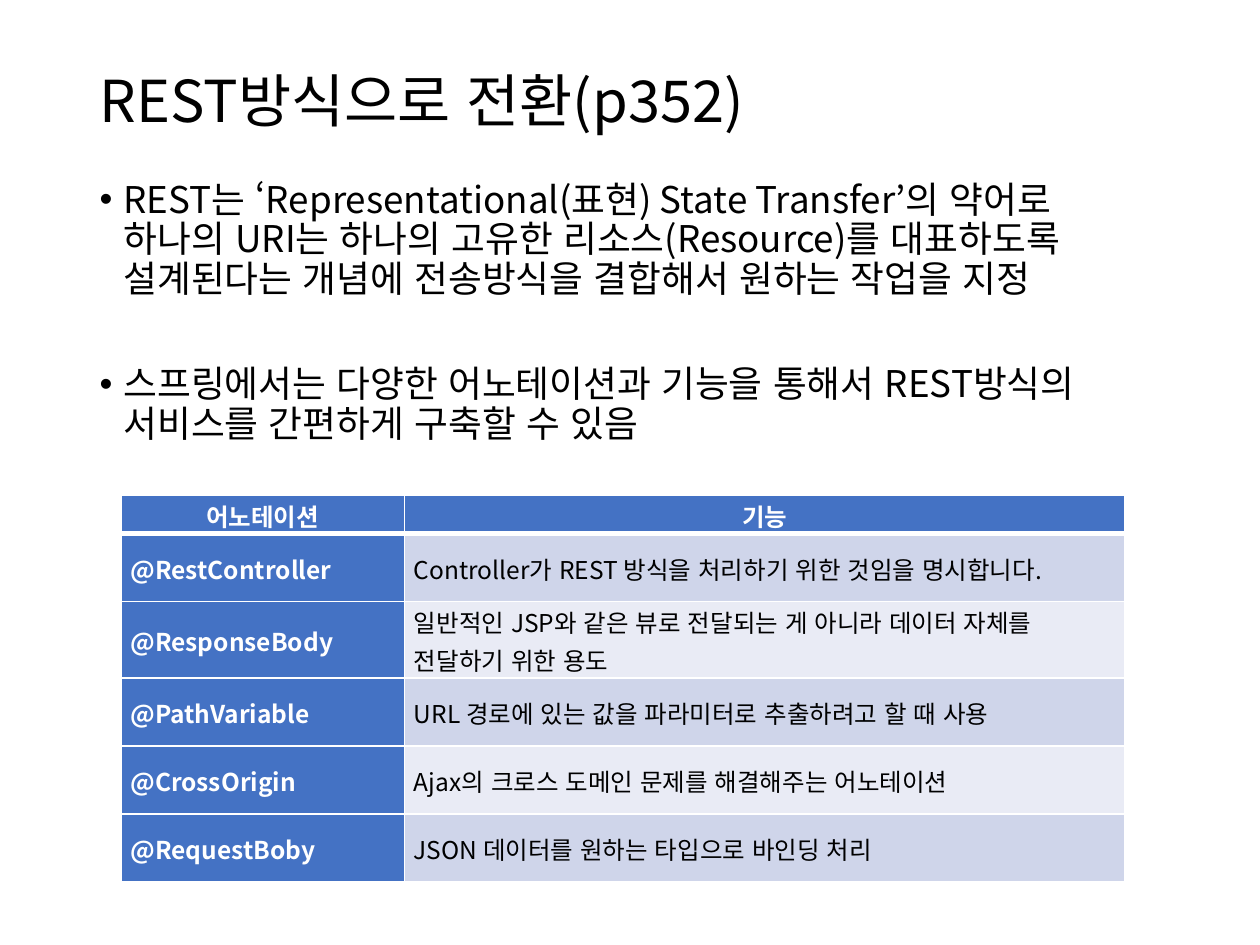
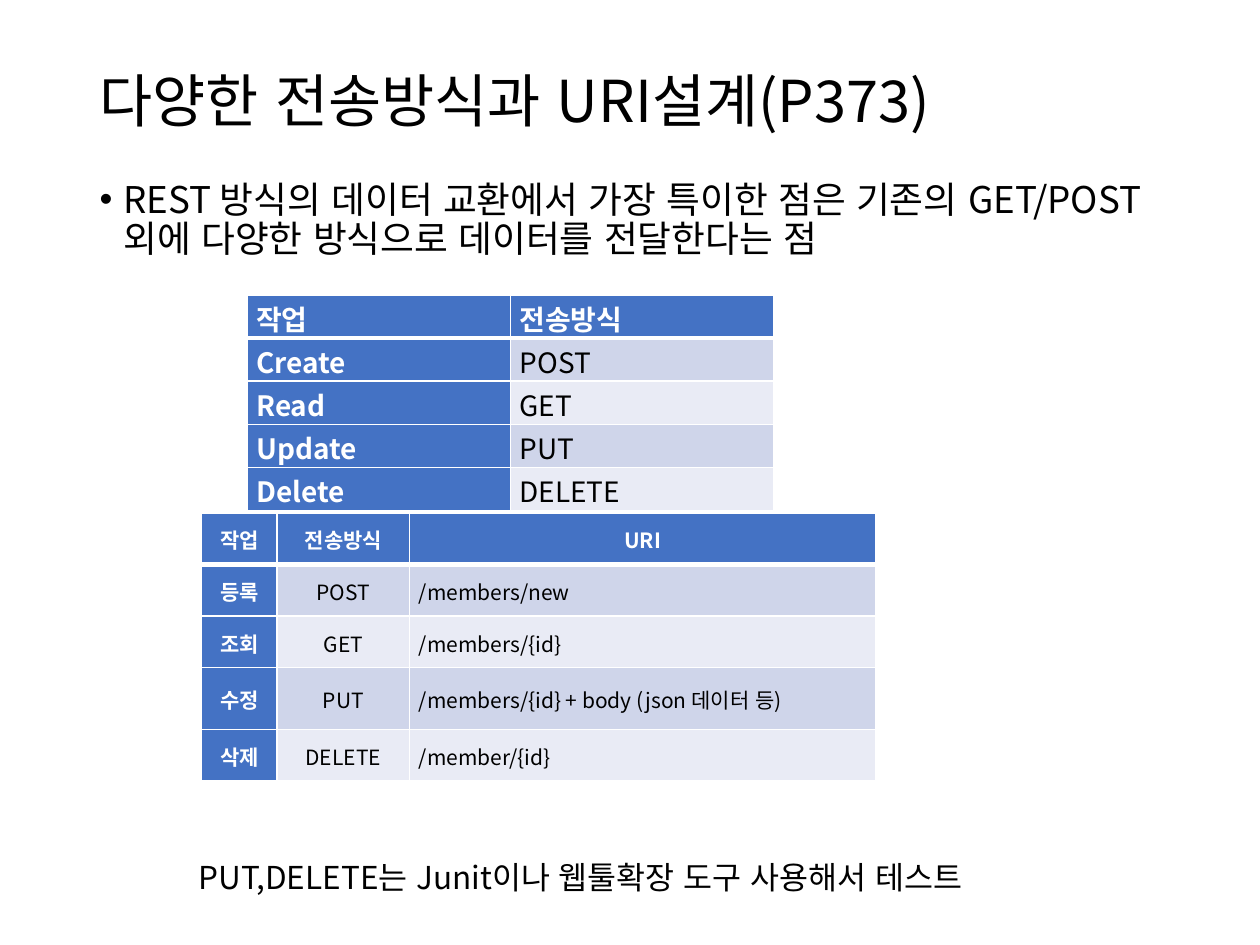
from pptx import Presentation
from pptx.dml.color import RGBColor
from pptx.enum.lang import MSO_LANGUAGE_ID
from pptx.enum.text import MSO_ANCHOR, MSO_AUTO_SIZE, PP_ALIGN
from pptx.oxml import parse_xml
from pptx.oxml.ns import nsdecls
from pptx.util import Inches, Pt

KOREAN = MSO_LANGUAGE_ID.KOREAN
MIDDLE = MSO_ANCHOR.MIDDLE
NO_FIT, GROW = MSO_AUTO_SIZE.NONE, MSO_AUTO_SIZE.SHAPE_TO_FIT_TEXT
LEFT, CENTER = PP_ALIGN.LEFT, PP_ALIGN.CENTER

# Shared look
FONT = "Noto Sans CJK KR"
BLACK = RGBColor(0x00, 0x00, 0x00)
WHITE = RGBColor(0xFF, 0xFF, 0xFF)
BLUE = RGBColor(0x44, 0x72, 0xC4)
BANDS = (RGBColor(0xCF, 0xD5, 0xEA), RGBColor(0xE9, 0xEB, 0xF5))

# Shared places, in inches
SLIDE_W, SLIDE_H = 10, 7.5
MARGIN = 0.69
CONTENT_W = SLIDE_W - 2 * MARGIN
TITLE_BOX = (MARGIN, 0.4, CONTENT_W, 0.85)
BODY_BOX = (MARGIN, 1.39, CONTENT_W, 5.37)
BULLET_INDENT = 0.19

ANNOTATIONS = [
    ("어노테이션", "기능"),
    ("@RestController", "Controller가 REST 방식을 처리하기 위한 것임을 명시합니다."),
    ("@ResponseBody", "일반적인 JSP와 같은 뷰로 전달되는 게 아니라 데이터 자체를 전달하기 위한 용도"),
    ("@PathVariable", "URL 경로에 있는 값을 파라미터로 추출하려고 할 때 사용"),
    ("@CrossOrigin", "Ajax의 크로스 도메인 문제를 해결해주는 어노테이션"),
    ("@RequestBoby", "JSON 데이터를 원하는 타입으로 바인딩 처리"),
]
CRUD_METHODS = [
    ("작업", "전송방식"),
    ("Create", "POST"),
    ("Read", "GET"),
    ("Update", "PUT"),
    ("Delete", "DELETE"),
]
MEMBER_URIS = [
    ("작업", "전송방식", "URI"),
    ("등록", "POST", "/members/new"),
    ("조회", "GET", "/members/{id}"),
    ("수정", "PUT", "/members/{id} + body (json 데이터 등)"),
    ("삭제", "DELETE", "/member/{id}"),
]


def place(sp, box):
    sp.left, sp.top, sp.width, sp.height = map(Inches, box)


def style(p, size, color=BLACK, bold=False, align=LEFT, spacing=None):
    p.alignment = align
    p.line_spacing = spacing
    for r in p.runs:
        r.font.size = Pt(size)
        r.font.bold = bold
        r.font.color.rgb = color
        r.font.name = FONT
        r.font.language_id = KOREAN
        r.font._element.append(
            parse_xml(f'<a:ea {nsdecls("a")} typeface="{FONT}"/>'))


def add_titled_slide(prs, title, bullets):
    s = prs.slides.add_slide(prs.slide_layouts[1])

    # Title
    place(s.shapes.title, TITLE_BOX)
    tf = s.shapes.title.text_frame
    tf.text = title
    tf.auto_size = NO_FIT
    tf.vertical_anchor = MIDDLE
    style(tf.paragraphs[0], 33, spacing=0.9)

    # Bullet list
    body = s.placeholders[1]
    place(body, BODY_BOX)
    tf = body.text_frame
    tf.text = "\n".join(bullets)
    tf.auto_size = NO_FIT
    for i, p in enumerate(tf.paragraphs):
        style(p, 21, spacing=0.9)
        p.space_before = Pt(37.5 if i else 0)
        pPr = p._p.get_or_add_pPr()
        pPr.set("marL", str(Inches(BULLET_INDENT)))
        pPr.set("indent", str(-Inches(BULLET_INDENT)))
    return s


def set_borders(cell, top, bottom):
    tcPr = cell._tc.get_or_add_tcPr()
    for side, width in (("L", 1), ("R", 1), ("T", top), ("B", bottom)):
        tcPr.append(parse_xml(
            f'<a:ln{side} {nsdecls("a")} w="{Pt(width)}"><a:solidFill>'
            f'<a:srgbClr val="{WHITE}"/></a:solidFill></a:ln{side}>'))


def add_banded_table(s, data, left, top, cols, rows, size,
                     centered_header=True, centered_cols=0):
    """Blue header row and first column, two alternating bands elsewhere."""
    box = map(Inches, (left, top, sum(cols), sum(rows)))
    table = s.shapes.add_table(len(rows), len(cols), *box).table
    table.first_col = True
    for column, width in zip(table.columns, cols):
        column.width = Inches(width)
    for row, height in zip(table.rows, rows):
        row.height = Inches(height)

    for i, texts in enumerate(data):
        for j, text in enumerate(texts):
            cell = table.cell(i, j)
            heading = i == 0 or j == 0
            centered = j < centered_cols or (i == 0 and centered_header)
            set_borders(cell, 3 if i == 1 else 1, 3 if i == 0 else 1)
            cell.fill.solid()
            cell.fill.fore_color.rgb = BLUE if heading else BANDS[(i - 1) % 2]
            cell.vertical_anchor = MIDDLE
            cell.margin_left = cell.margin_right = Pt(5.4)
            cell.margin_top = cell.margin_bottom = 0
            cell.text_frame.text = text
            style(cell.text_frame.paragraphs[0], size,
                  WHITE if heading else BLACK, heading,
                  CENTER if centered else LEFT, 1.07)


def add_note(s, text, box):
    sp = s.shapes.add_textbox(*map(Inches, box))
    tf = sp.text_frame
    tf.word_wrap = True
    tf.auto_size = GROW
    tf.text = text
    style(tf.paragraphs[0], 18)


def main():
    prs = Presentation()
    prs.slide_width, prs.slide_height = Inches(SLIDE_W), Inches(SLIDE_H)

    # REST annotations
    s = add_titled_slide(prs, "REST방식으로 전환(p352)", [
        "REST는 ‘Representational(표현) State Transfer’의 약어로 하나의 URI는 "
        "하나의 고유한 리소스(Resource)를 대표하도록 설계된다는 개념에 "
        "전송방식을 결합해서 원하는 작업을 지정",
        "스프링에서는 다양한 어노테이션과 기능을 통해서 REST방식의 서비스를 "
        "간편하게 구축할 수 있음",
    ])
    add_banded_table(s, ANNOTATIONS, 0.96, 3.93, [2.25, 5.72],
                     [0.26] + [0.54] * 5, 14)

    # HTTP methods and URI design
    s = add_titled_slide(prs, "다양한 전송방식과 URI설계(P373)", [
        "REST 방식의 데이터 교환에서 가장 특이한 점은 기존의 GET/POST 외에 "
        "다양한 방식으로 데이터를 전달한다는 점",
    ])
    add_banded_table(s, CRUD_METHODS, 1.96, 2.34, [2.09] * 2, [0.29] * 5, 16,
                     centered_header=False)
    add_banded_table(s, MEMBER_URIS, 1.6, 4.07, [0.6, 1.05, 3.7],
                     [0.41, 0.41, 0.41, 0.49, 0.41], 12, centered_cols=2)
    add_note(s, "PUT,DELETE는 Junit이나 웹툴확장 도구 사용해서 테스트",
             (1.48, 6.76, 6.63, 0.4))

    prs.save("out.pptx")


if __name__ == "__main__":
    main()
